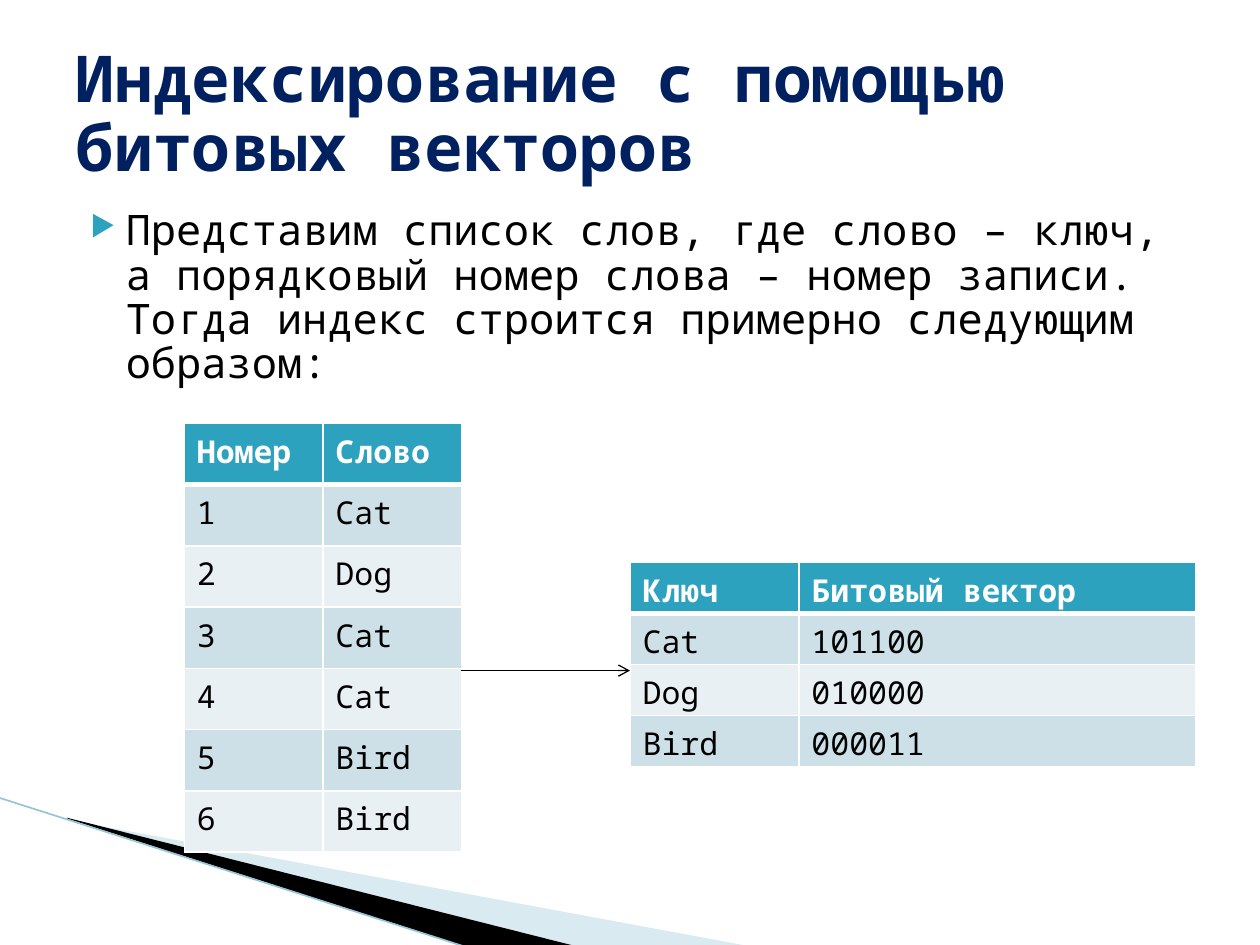
from dataclasses import dataclass

from lxml import etree
from pptx import Presentation
from pptx.dml.color import RGBColor
from pptx.enum import shapes, text
from pptx.oxml import ns
from pptx.util import Pt

FONT = "Noto Sans Mono"
NAVY = RGBColor(0x00, 0x20, 0x60)
TEAL = RGBColor(0x2D, 0xA2, 0xBF)
SKY = RGBColor(0xA0, 0xCB, 0xDC)
EDGE = RGBColor(0x97, 0xC5, 0xD8)
BAND_DARK = RGBColor(0xCD, 0xE0, 0xE8)
BAND_LIGHT = RGBColor(0xE8, 0xF0, 0xF4)
BLACK = RGBColor(0, 0, 0)
WHITE = RGBColor(0xFF, 0xFF, 0xFF)


@dataclass
class Grid:
    left: float
    top: float
    widths: list[float]
    row_height: float
    rows: list[tuple[str, ...]]


@dataclass
class Wedge:
    points: list[tuple[float, float]]
    color: RGBColor
    opacity: int = 100


@dataclass
class Line:
    start: tuple[float, float]
    end: tuple[float, float]
    color: RGBColor
    width: float
    arrow: bool = False


WORDS = Grid(105.3, 242, [79.2, 79.2], 35, [
    ("Номер", "Слово"), ("1", "Cat"), ("2", "Dog"), ("3", "Cat"),
    ("4", "Cat"), ("5", "Bird"), ("6", "Bird")])
VECTORS = Grid(360, 321.4, [96.5, 226.8], 29.2, [
    ("Ключ", "Битовый вектор"), ("Cat", "101100"),
    ("Dog", "010000"), ("Bird", "000011")])
WEDGES = [
    Wedge([(39.6, 468.7), (428.4, 540.7), (328.3, 540.7), (39.6, 468)], SKY, 40),
    Wedge([(38.2, 467.3), (329, 540.7), (267.8, 541.4), (38.9, 468)], BLACK),
]
WEDGE_EDGE = Line((-0.7, 455.8), (267.1, 541.4), EDGE, 0.95)
INDEX_ARROW = Line((263.7, 383.2), (360, 383.2), BLACK, 0.75, arrow=True)


def add_child(parent, tag: str, **attributes: str):
    return etree.SubElement(parent, ns.qn(tag), attributes)


def style(paragraph, size: float, color: RGBColor, bold: bool = False) -> None:
    font = paragraph.font
    font.name, font.size, font.bold = FONT, Pt(size), bold
    font.color.rgb = color


def draw_wedge(slide, wedge: Wedge) -> None:
    first, *others = [(Pt(x), Pt(y)) for x, y in wedge.points]
    builder = slide.shapes.build_freeform(*first)
    builder.add_line_segments(others, close=True)
    shape = builder.convert_to_shape()
    shape.shadow.inherit = False
    shape.line.fill.background()
    shape.fill.solid()
    shape.fill.fore_color.rgb = wedge.color
    if wedge.opacity < 100:
        color = shape.fill._xPr.find(".//" + ns.qn("a:srgbClr"))
        add_child(color, "a:alpha", val=str(wedge.opacity * 1000))


def draw_line(slide, line: Line) -> None:
    connector = slide.shapes.add_connector(
        shapes.MSO_CONNECTOR.STRAIGHT, *map(Pt, line.start + line.end))
    connector.line.color.rgb = line.color
    connector.line.width = Pt(line.width)
    if line.arrow:
        add_child(connector.line._get_or_add_ln(), "a:tailEnd", type="arrow")
    add_child(connector._element.spPr, "a:effectLst")


def add_borders(cell, header: bool) -> None:
    """Put white borders before the cell's fill, with a thick one below a header."""
    properties = cell._tc.get_or_add_tcPr()
    for index, side in enumerate(("L", "R", "T", "B")):
        width = 3 if header and side == "B" else 1
        border = etree.Element(ns.qn(f"a:ln{side}"), w=str(Pt(width)))
        fill = add_child(border, "a:solidFill")
        add_child(fill, "a:srgbClr", val=str(WHITE))
        properties.insert(index, border)


def draw_grid(slide, grid: Grid) -> None:
    count = len(grid.rows)
    table = slide.shapes.add_table(
        count, len(grid.widths), Pt(grid.left), Pt(grid.top),
        Pt(sum(grid.widths)), Pt(grid.row_height * count)).table
    for column, width in zip(table.columns, grid.widths):
        column.width = Pt(width)
    for r, words in enumerate(grid.rows):
        header = r == 0
        table.rows[r].height = Pt(grid.row_height)
        for c, word in enumerate(words):
            cell = table.cell(r, c)
            cell.text = word
            style(cell.text_frame.paragraphs[0], 18, WHITE if header else BLACK, header)
            cell.fill.solid()
            band = BAND_DARK if r % 2 else BAND_LIGHT
            cell.fill.fore_color.rgb = TEAL if header else band
            # The thick header rule is shared with the first body row.
            add_borders(cell, header)
            if r == 1:
                cell._tc.tcPr.find(ns.qn("a:lnT")).set("w", str(Pt(3)))


def draw_title(slide) -> None:
    title = slide.shapes.title
    title.left, title.top, title.width, title.height = map(Pt, (36, 21.6, 648, 90))
    frame = title.text_frame
    frame.text = "Индексирование с помощью битовых векторов"
    frame.vertical_anchor = text.MSO_ANCHOR.MIDDLE
    frame.auto_size = text.MSO_AUTO_SIZE.NONE
    heading = frame.paragraphs[0]
    heading.alignment = text.PP_ALIGN.LEFT
    heading.line_spacing = 0.89
    style(heading, 36.9, NAVY, bold=True)


def draw_body(slide) -> None:
    frame = slide.shapes.add_textbox(*map(Pt, (36, 116.6, 648, 356.4))).text_frame
    frame.word_wrap = True
    intro = frame.paragraphs[0]
    intro.text = ("Представим список слов, где слово – ключ, а порядковый номер "
                  "слова – номер записи. Тогда индекс строится примерно "
                  "следующим образом:")
    intro.space_before = Pt(4)
    intro.line_spacing = 0.88
    style(intro, 24, BLACK)
    properties = intro._p.get_or_add_pPr()
    properties.set("marL", str(Pt(28.8)))
    properties.set("indent", str(Pt(-20.2)))
    bullet_color = etree.Element(ns.qn("a:buClr"))
    add_child(bullet_color, "a:srgbClr", val=str(TEAL))
    bullet_size = etree.Element(ns.qn("a:buSzPct"), val="68000")
    bullet = etree.Element(ns.qn("a:buChar"), char="▶")
    run_defaults = properties.find(ns.qn("a:defRPr"))
    for part in (bullet_color, bullet_size, bullet):
        run_defaults.addprevious(part)


def main() -> None:
    deck = Presentation()
    deck.slide_width, deck.slide_height = Pt(720), Pt(540)
    slide = deck.slides.add_slide(deck.slide_layouts[5])
    for wedge in WEDGES:
        draw_wedge(slide, wedge)
    draw_line(slide, WEDGE_EDGE)
    draw_body(slide)
    draw_title(slide)
    for grid in (WORDS, VECTORS):
        draw_grid(slide, grid)
    draw_line(slide, INDEX_ARROW)
    deck.save("out.pptx")


if __name__ == "__main__":
    main()
